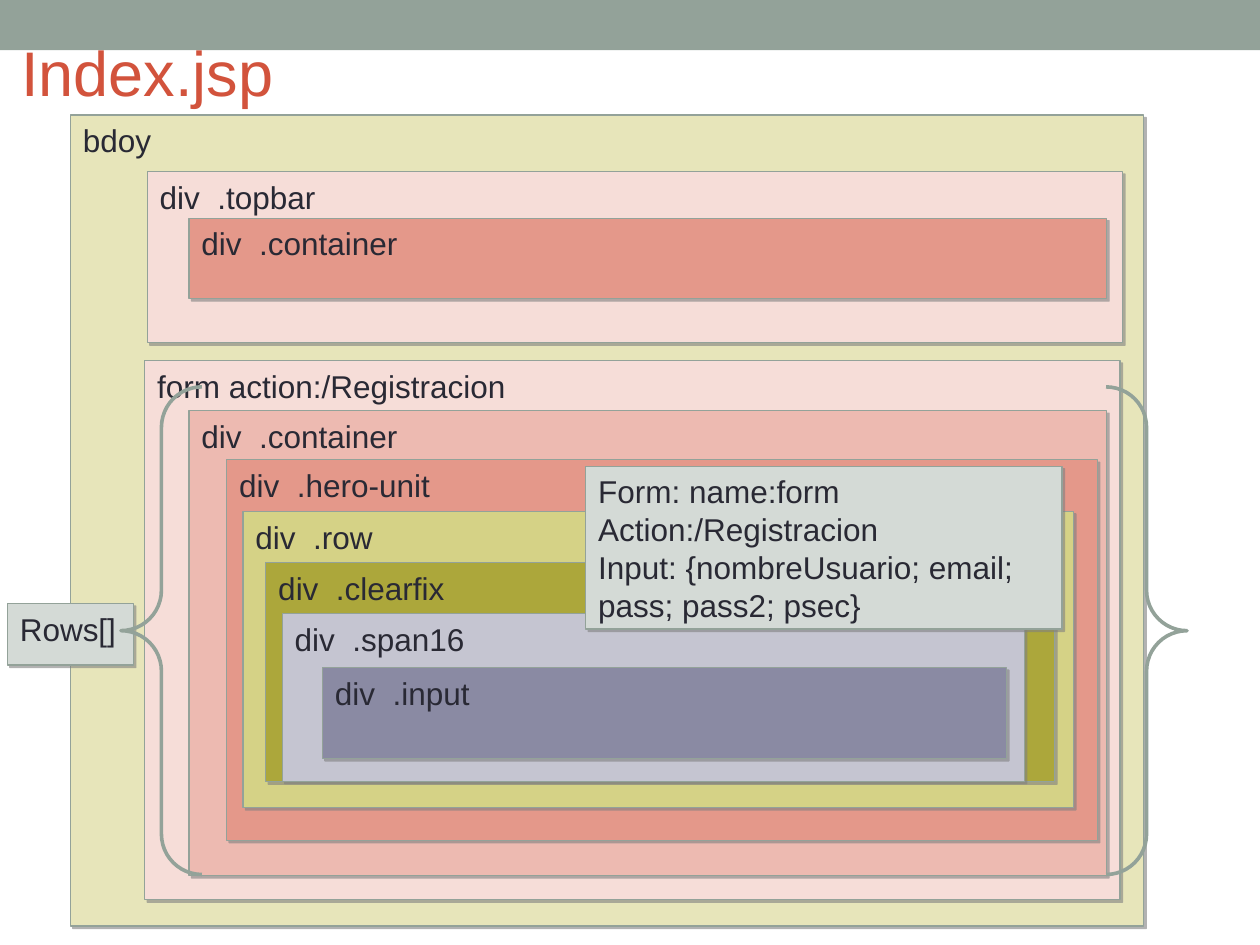
import pptx
import pptx.util
import pptx.dml.color
import pptx.enum.shapes
import pptx.enum.text
import pptx.oxml
import pptx.oxml.ns
from pptx.util import Cm, Pt

SHAPE = pptx.enum.shapes.MSO_SHAPE
ANCHOR = pptx.enum.text.MSO_ANCHOR
ALIGN = pptx.enum.text.PP_ALIGN

SHADOW = (
    f'<a:effectLst {pptx.oxml.ns.nsdecls("a")}>'
    '<a:outerShdw blurRad="0" dist="25400" dir="2700000" algn="tl" rotWithShape="0">'
    '<a:srgbClr val="808080"><a:alpha val="60000"/></a:srgbClr>'
    '</a:outerShdw></a:effectLst>'
)


def rgb(value):
    return pptx.dml.color.RGBColor.from_string(value)


class Deck:
    font = "Arial"
    ink = "292934"
    accent = "D2533C"
    edge = "93A299"

    def __init__(self, slide):
        self.s = slide

    def shape(self, kind, x, y, w, h, fill=None, line=None):
        sp = self.s.shapes.add_shape(kind, Cm(x), Cm(y), Cm(w), Cm(h))
        sp.shadow.inherit = False
        if fill:
            sp.fill.solid()
            sp.fill.fore_color.rgb = rgb(fill)
        else:
            sp.fill.background()
        if line:
            sp.line.color.rgb = rgb(self.edge)
            sp.line.width = Pt(line)
        else:
            sp.line.fill.background()
        return sp

    def text(self, sp, text, size, color, anchor):
        tf = sp.text_frame
        tf.word_wrap = True
        tf.vertical_anchor = anchor
        tf.text = text
        for p in tf.paragraphs:
            p.alignment = ALIGN.LEFT
            for r in p.runs:
                r.font.name = self.font
                r.font.size = Pt(size)
                r.font.color.rgb = rgb(color)

    def title(self, text, x, y, w, h):
        sp = self.s.shapes.add_textbox(Cm(x), Cm(y), Cm(w), Cm(h))
        self.text(sp, text, 36, self.accent, ANCHOR.MIDDLE)

    def box(self, text, fill, x, y, w, h):
        sp = self.shape(SHAPE.RECTANGLE, x, y, w, h, fill, 0.75)
        effects = sp._element.spPr.find(pptx.oxml.ns.qn("a:effectLst"))
        effects.getparent().replace(effects, pptx.oxml.parse_xml(SHADOW))
        self.text(sp, text, 18, self.ink, ANCHOR.TOP)

    def braces(self, x, y, w, h):
        sp = self.shape(SHAPE.DOUBLE_BRACE, x, y, w, h, line=2.07)
        sp.adjustments[0] = 0.083


# Nested page elements, from the outside in: text, fill, left, top, width, height
BOXES = [
    ("bdoy", "E7E5BA", 1.42, 2.32, 21.64, 16.35),
    ("div  .topbar", "F6DDD8", 2.97, 3.46, 19.66, 3.45),
    ("div  .container", "E4988A", 3.81, 4.4, 18.5, 1.62),
    ("form action:/Registracion", "F6DDD8", 2.92, 7.27, 19.66, 10.87),
    ("div  .container", "EDBAB1", 3.81, 8.28, 18.5, 9.37),
    ("Rows[]", "D4DAD6", 0.15, 12.17, 2.54, 1.24),
    ("div  .hero-unit", "E4988A", 4.57, 9.27, 17.55, 7.67),
    ("div  .row", "D5D286", 4.9, 10.31, 16.74, 5.97),
    ("div  .clearfix", "ACA73B", 5.36, 11.34, 15.9, 4.42),
    ("div  .span16", "C5C5D1", 5.69, 12.37, 14.96, 3.38),
    ("div  .input", "8A8AA3", 6.5, 13.46, 13.79, 1.83),
]
FORM_NOTE = ("Form: name:form\nAction:/Registracion\n"
             "Input: {nombreUsuario; email; pass; pass2; psec}")


def main():
    prs = pptx.Presentation()
    prs.slide_width, prs.slide_height = Cm(25.4), Cm(19.05)
    deck = Deck(prs.slides.add_slide(prs.slide_layouts[6]))

    # Top band and title
    deck.shape(SHAPE.RECTANGLE, 0, 0, 25.4, 1.01, deck.edge)
    deck.title("Index.jsp", 0.18, 0.53, 22.86, 1.8)

    # Page structure
    for box in BOXES:
        deck.box(*box)

    # Repeated rows and the form description
    deck.braces(2.44, 7.8, 21.49, 9.83)
    deck.box(FORM_NOTE, "D4DAD6", 11.81, 9.4, 9.6, 3.28)

    prs.save("out.pptx")


if __name__ == "__main__":
    main()
